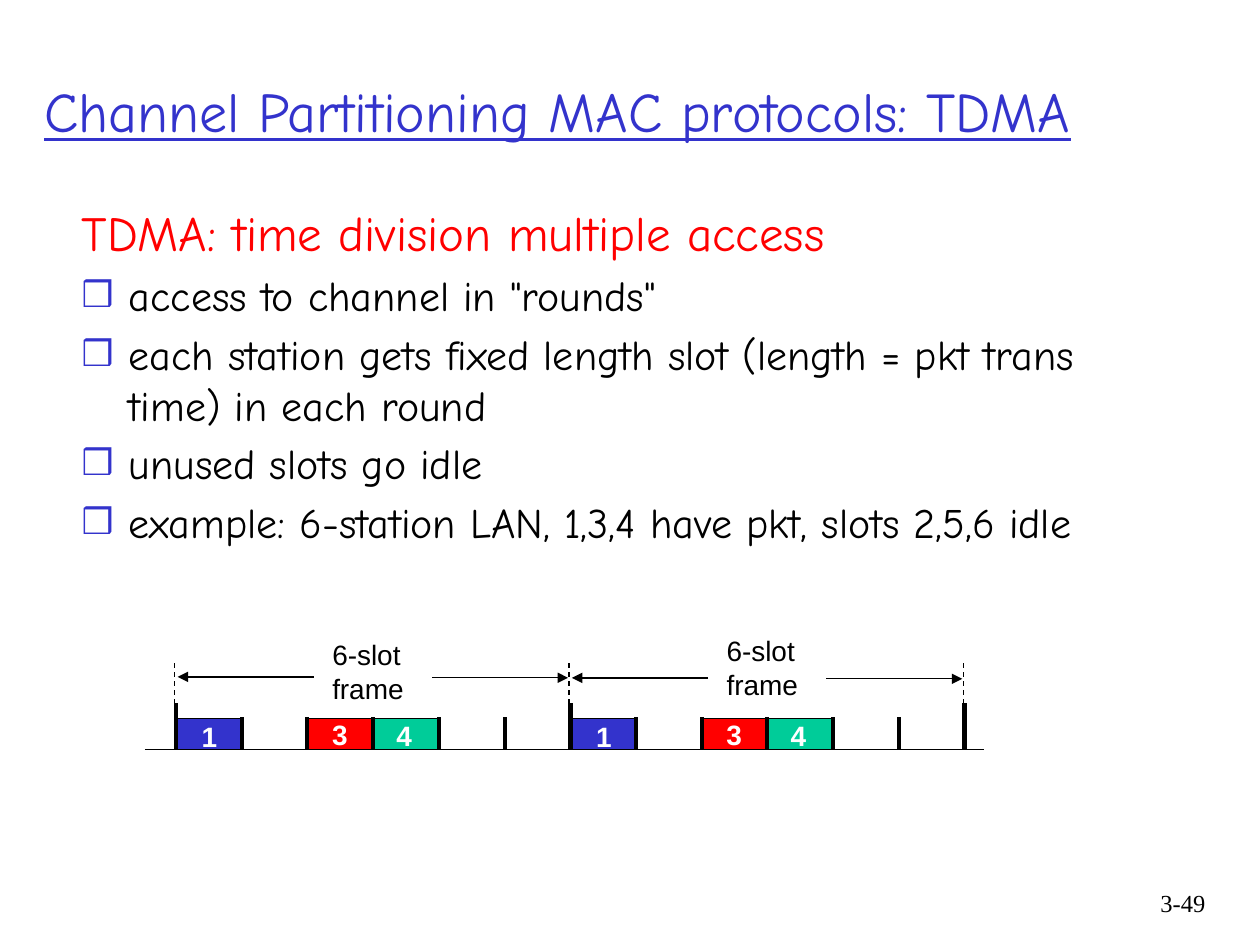
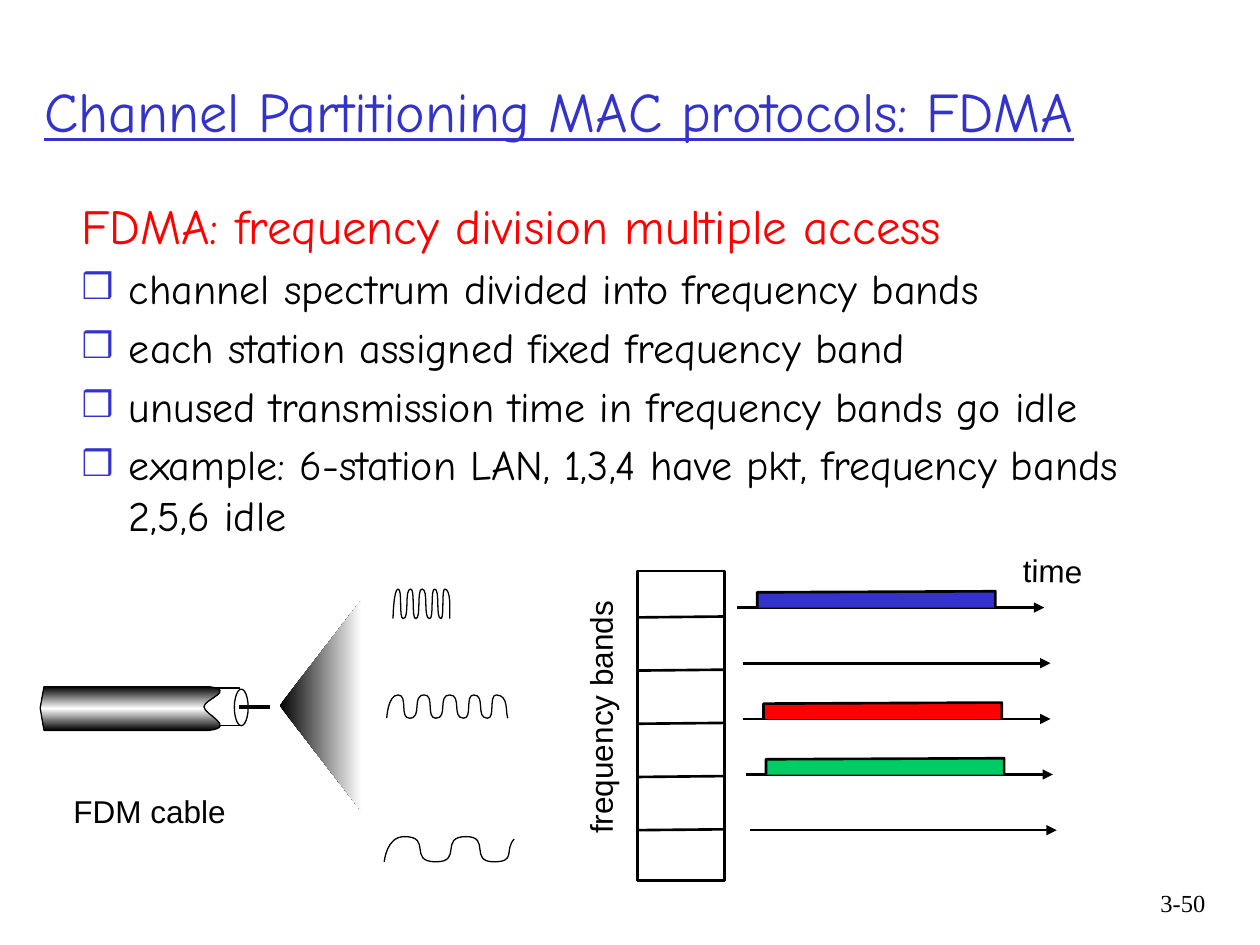
from copy import deepcopy
from pptx import Presentation
from pptx.dml.color import RGBColor
from pptx.enum.dml import MSO_LINE
from pptx.enum.shapes import MSO_CONNECTOR, MSO_SHAPE
from pptx.enum.text import MSO_ANCHOR, MSO_AUTO_SIZE, PP_ALIGN
from pptx.oxml.ns import qn
from pptx.util import Pt

RECT, OVAL = MSO_SHAPE.RECTANGLE, MSO_SHAPE.OVAL
STRAIGHT, DASH = MSO_CONNECTOR.STRAIGHT, MSO_LINE.DASH
TOP, MIDDLE = MSO_ANCHOR.TOP, MSO_ANCHOR.MIDDLE
LEFT, RIGHT = PP_ALIGN.LEFT, PP_ALIGN.RIGHT
GROW, FIXED = MSO_AUTO_SIZE.SHAPE_TO_FIT_TEXT, MSO_AUTO_SIZE.NONE

HUES = {"blue": "3333CC", "red": "FF0000", "teal": "00CC99",
        "green": "00CC66", "black": "000000", "white": "FFFFFF"}
RGB = {name: RGBColor.from_string(code) for name, code in HUES.items()}
COMIC, SANS, SERIF = "Comic Neue", "Arial", "Times New Roman"


def write(slide, box, lines, size=18, font=SANS, hue="black", bold=False,
          under=False, align=LEFT, anchor=TOP, wrap=False, turn=0):
    area = slide.shapes.add_textbox(*[Pt(n) for n in box])
    area.rotation = turn
    frame = area.text_frame
    frame.word_wrap = wrap
    frame.auto_size = FIXED if wrap else GROW
    frame.vertical_anchor = anchor
    frame.text = lines
    for para in frame.paragraphs:
        para.alignment = align
        face = para.runs[0].font
        face.size, face.name = Pt(size), font
        face.bold, face.underline = bold, under
        face.color.rgb = RGB[hue]
    return frame


def draw(slide, x1, y1, x2, y2, width=0.75, head=False, dash=False):
    link = slide.shapes.add_connector(STRAIGHT, Pt(x1), Pt(y1), Pt(x2), Pt(y2))
    link.line.color.rgb = RGB["black"]
    link.line.width = Pt(width)
    if dash:
        link.line.dash_style = DASH
    props = link.element.spPr
    if head:
        edge = props.find(qn("a:ln"))
        edge.append(edge.makeelement(qn("a:tailEnd"), {"type": "triangle"}))
    props.append(props.makeelement(qn("a:effectLst"), {}))


deck = Presentation()
deck.slide_width, deck.slide_height = Pt(720), Pt(540)

# Title, bullets and page number of both slides
pages = [
    ("TDMA", "3-49", (39.6, 112.3, 612, 365.8), [
        "TDMA: time division multiple access",
        'access to channel in "rounds"',
        "each station gets fixed length slot (length = pkt trans time) in each round",
        "unused slots go idle",
        "example: 6-station LAN, 1,3,4 have pkt, slots 2,5,6 idle"]),
    ("FDMA", "3-50", (39.6, 108, 647.3, 365.8), [
        "FDMA: frequency division multiple access",
        "channel spectrum divided into frequency bands",
        "each station assigned fixed frequency band",
        "unused transmission time in frequency bands go idle",
        "example: 6-station LAN, 1,3,4 have pkt, frequency bands 2,5,6 idle"]),
]
slides = []
for name, page, box, points in pages:
    slide = deck.slides.add_slide(deck.slide_layouts[6])
    slides.append(slide)
    write(slide, (18.1, 18, 679.7, 90), "Channel Partitioning MAC protocols: " + name,
          size=32, font=COMIC, hue="blue", under=True, anchor=MIDDLE, wrap=True)
    body = write(slide, box, "\n".join(points), size=24, font=COMIC, wrap=True)
    for i, para in enumerate(body.paragraphs):
        face = para.runs[0].font
        if i == 0:
            face.size, face.color.rgb = Pt(28), RGB["red"]
        para.space_before = Pt(face.size.pt * 0.2)
        props = para._p.get_or_add_pPr()
        props.set("marL", str(Pt(27)))
        props.set("indent", str(Pt(-27)))
        if i > 0:
            tint = props.makeelement(qn("a:buClr"), {})
            tint.append(tint.makeelement(qn("a:srgbClr"), {"val": HUES["blue"]}))
            props.append(tint)
            for tag, key, value in [("a:buSzPct", "val", "85000"),
                                    ("a:buFont", "typeface", SANS),
                                    ("a:buChar", "char", "❒")]:
                props.append(props.makeelement(qn(tag), {key: value}))
    write(slide, (642.7, 504, 53.3, 36), page, size=14, font=SERIF, align=RIGHT, wrap=True)
time, freq = slides

# TDMA: two frames of six slots on a time line
START, SLOT, BASE = 100.4, 37.55, 428.4
draw(time, 82.8, BASE, 562.3, BASE)
blocks = [(0, "1", "blue", 7.8, 407.5), (2, "3", "red", 7.2, 406.6),
          (3, "4", "teal", 6.3, 407.3)]
for left, top, mid in [(START, 360.7, 387), (START + 6 * SLOT, 358.6, 387.6)]:
    for place, label, hue, inset, head in blocks:
        x = left + place * SLOT
        block = time.shapes.add_shape(RECT, Pt(x), Pt(410.4), Pt(SLOT), Pt(18))
        block.shadow.inherit = False
        block.fill.solid()
        block.fill.fore_color.rgb = RGB[hue]
        block.line.color.rgb = RGB["black"]
        block.line.width = Pt(0.75)
        write(time, (x + inset, head, 23, 26.6), label, size=16, hue="white", bold=True)
    write(time, (left + 82.4, top, 55.4, 46), "6-slot\nframe", size=16)
    draw(time, left + 146.5, mid + 0.3, left + 224.2, mid + 0.3, head=True)
    draw(time, left + 78.9, mid - 0.2, left + 1.1, mid - 0.2, head=True)

# Slot ticks, taller at the frame edges
for k in range(13):
    x = START + k * SLOT
    if k % 6 == 0:
        draw(time, x + 0.2, 401.8, x + 0.2, BASE, width=3 if k else 2.25)
        draw(time, x - 0.6, 379, x - 0.6, 403, dash=True)
    else:
        draw(time, x + 0.2, 409.8, x + 0.2, BASE, width=2.25)

# FDMA: stack of bands, and the white core of the cable
for box, width in [((364.3, 326.2, 49.7, 177.1), 1.5), ((115.9, 393.1, 20.9, 21.6), 0.75)]:
    cell = freq.shapes.add_shape(RECT, *[Pt(n) for n in box])
    cell.shadow.inherit = False
    cell.fill.solid()
    cell.fill.fore_color.rgb = RGB["white"]
    cell.line.color.rgb = RGB["black"]
    cell.line.width = Pt(width)
for i in range(5):
    y = 352.8 + 30.4 * i
    draw(freq, 364, y, 413.6, y - 0.5, width=1.5)

# Outlines: a start, then points (x, y) or curves (two controls and an end)
outlines = []
lanes = [(421.2, "blue"), (424.8, None), (424.8, "red"), (426.2, "green"), (428.4, None)]
for i, (x, hue) in enumerate(lanes):
    y = 347.2 + 31.8 * i
    draw(freq, x, y, x + 175.5, y, width=1.5, head=True)
    if hue:
        a, b = x + 11.5, x + 147.6
        outlines.append(((a, y), [(a, y - 8.7), (b, y - 9.3), (b, y)], False, hue, 1.5))

cone = [(159.8, 403.2), (206.6, 463.7), (206.6, 342.7)]
outlines.append(((206.6, 342.7), cone, True, ["black", "white"], 0))
sheath = [(23, 404.6), (25.2, 417.4), (119.5, 417.4),
          (135.4, 415.4, 116.6, 408.2, 116.6, 403.9),
          (116.6, 399.6, 135.4, 394.6, 119.5, 392.4), (25.2, 392.4)]
outlines.append(((25.2, 392.4), sheath, True, ["black", "white", "black"], 0.75))

# Waves swing between a low and a high line at the given places, then end in a tail
waves = [
    (410.4, 397.1, [221, 227.5, 234, 242.6, 249.1, 257, 265, 270.7, 278.6, 283.7],
     (290.9, 397.4, 288.7, 406.8, 290.2, 410.4)),
    (353.5, 336.6, [224.6, 227.5, 230.4, 234.7, 237.6, 241.2, 245.5, 248.4, 252, 254.2],
     (257.8, 337, 257, 348.5, 257, 353.5)),
    (492.5, 478.1, [219.6, 231.1, 249.1, 266.4, 282.2],
     (295.2, 492.5, 288, 486, 293.8, 479.5)),
]
for low, high, stops, tail in waves:
    steps = []
    for i, (a, b) in enumerate(zip(stops, stops[1:])):
        y1, y2 = (high, low) if i % 2 else (low, high)
        bend = 0.9 * (b - a)
        steps.append((a + bend if i else a, y1, b - bend, y2, b, y2))
    outlines.append(((stops[0], low), steps + [tail], False, None, 0.75))

for (x, y), steps, closed, fill, width in outlines:
    pen = freq.shapes.build_freeform(x * 100, y * 100, scale=Pt(1) / 100)
    pen.add_line_segments([(s[-2] * 100, s[-1] * 100) for s in steps], close=closed)
    form = pen.convert_to_shape()
    form.shadow.inherit = False
    # Bend the segments that carry control points
    props = form.element.spPr
    first = props.find(".//" + qn("a:moveTo"))[0]
    unit = Pt(1) / 100
    dx = x * 100 - int(first.get("x"))
    dy = y * 100 - int(first.get("y"))
    for step, part in zip(steps, props.findall(".//" + qn("a:lnTo"))):
        if len(step) == 6:
            curve = part.makeelement(qn("a:cubicBezTo"), {})
            part.addprevious(curve)
            for px, py in zip(step[0:4:2], step[1:4:2]):
                spot = {"x": str(round(px * 100 - dx)), "y": str(round(py * 100 - dy))}
                curve.append(curve.makeelement(qn("a:pt"), spot))
            curve.append(part[0])
            part.getparent().remove(part)
    if fill is None:
        form.fill.background()
    elif isinstance(fill, list):
        form.fill.gradient()
        form.fill.gradient_angle = 0 if len(fill) == 2 else 270
        ramp = props.find(".//" + qn("a:gsLst"))
        if len(fill) == 3:
            ramp.append(deepcopy(ramp[0]))
        for i, stop in enumerate(form.fill.gradient_stops):
            stop.color.rgb = RGB[fill[i]]
            stop.position = i / (len(fill) - 1)
    else:
        form.fill.solid()
        form.fill.fore_color.rgb = RGB[fill]
    if width:
        form.line.color.rgb = RGB["black"]
        form.line.width = Pt(width)
    else:
        form.line.fill.background()

# Cable end and wire
end = freq.shapes.add_shape(OVAL, Pt(133.9), Pt(393.8), Pt(7.9), Pt(20.9))
end.shadow.inherit = False
end.fill.solid()
end.fill.fore_color.rgb = RGB["white"]
end.line.color.rgb = RGB["black"]
end.line.width = Pt(0.75)
draw(freq, 136.8, 404, 154.1, 404, width=2.25)

# Labels
write(freq, (269.3, 395.3, 147.6, 28.8), "frequency bands", turn=270)
write(freq, (577.4, 311.8, 48.2, 28.8), "time", turn=1.1)
write(freq, (34.9, 448.9, 101.5, 28.8), "FDM cable")

deck.save("out.pptx")
